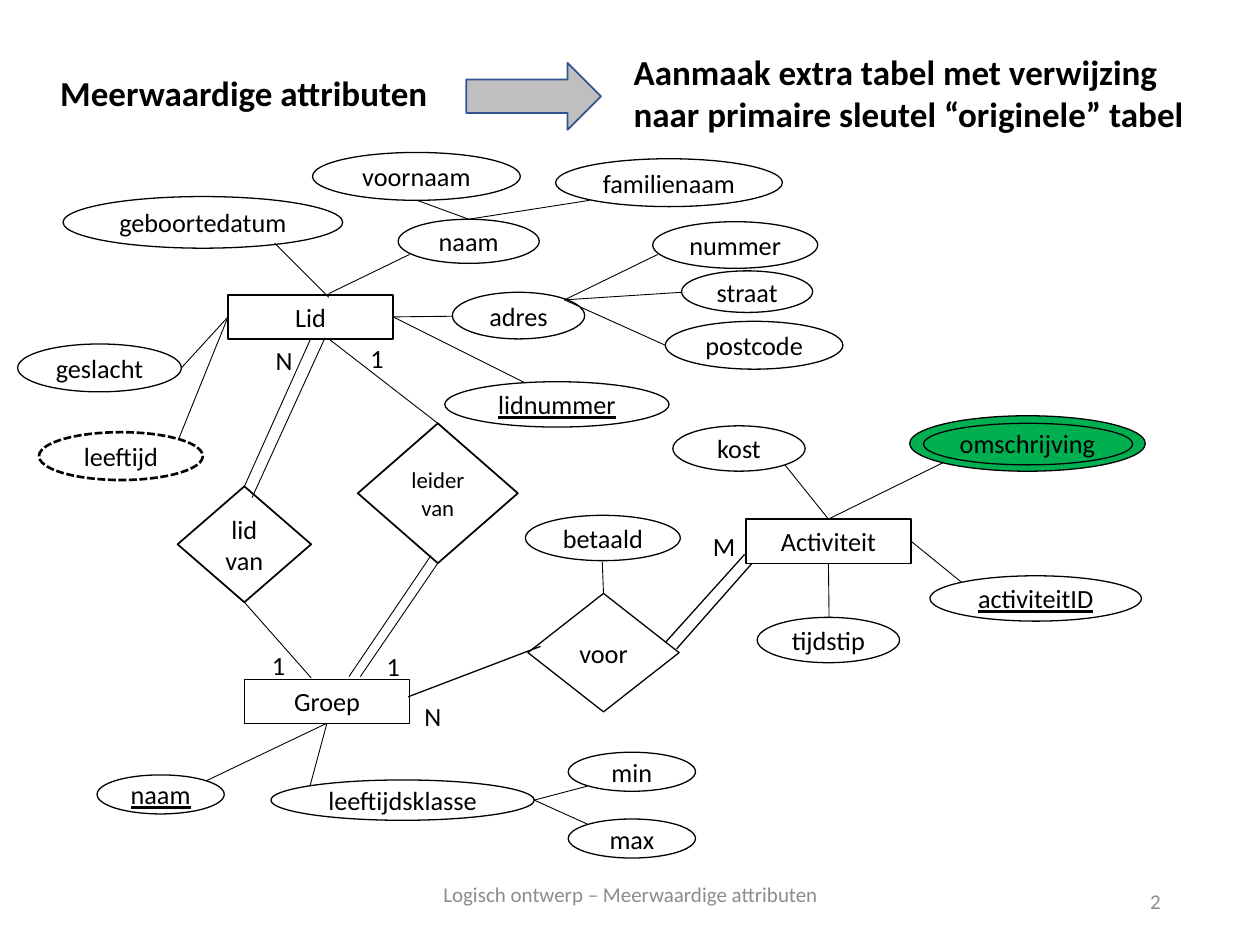
from dataclasses import dataclass
from typing import Optional

from lxml import etree
from pptx import Presentation
from pptx import util as u
from pptx.dml.color import RGBColor
from pptx.enum import dml, shapes, text
from pptx.oxml.ns import qn


@dataclass(frozen=True)
class Theme:
    font: str = "Calibri"
    ink: str = "000000"
    paper: str = "FFFFFF"
    accent: str = "00B050"
    arrow: str = "BFBFBF"
    arrow_edge: str = "325491"
    muted: str = "8C8C8C"
    title: float = 20
    body: float = 15
    small: float = 13
    footer: float = 12


T = Theme()
RECT = shapes.MSO_SHAPE.RECTANGLE
OVAL = shapes.MSO_SHAPE.OVAL
DIAMOND = shapes.MSO_SHAPE.DIAMOND
ARROW = shapes.MSO_SHAPE.RIGHT_ARROW
LEFT, CENTER, RIGHT = text.PP_ALIGN.LEFT, text.PP_ALIGN.CENTER, text.PP_ALIGN.RIGHT
TOP, MIDDLE = text.MSO_ANCHOR.TOP, text.MSO_ANCHOR.MIDDLE


@dataclass(frozen=True)
class Node:
    x: float
    y: float
    w: float
    h: float
    label: str = ""
    kind: int = OVAL
    fill: Optional[str] = T.paper
    edge: str = T.ink
    weight: float = 0.75
    size: float = T.body
    key: bool = False
    dashed: bool = False


@dataclass(frozen=True)
class Label:
    x: float
    y: float
    w: float
    h: float
    label: str
    size: float = T.body
    color: str = T.ink
    bold: bool = False
    align: int = LEFT
    anchor: int = TOP


# Entities and relationships
ENTITY = (1.31, 0.35)
BLOCKS = [
    Node(1.81, 2.34, *ENTITY, "Lid", RECT),
    Node(1.94, 5.39, *ENTITY, "Groep", RECT),
    Node(5.92, 4.12, *ENTITY, "Activiteit", RECT),
    Node(1.41, 3.86, 1.06, 0.92, "lid van", DIAMOND, weight=1),
    Node(2.84, 3.36, 1.27, 1.11, "leider van", DIAMOND, weight=1, size=T.small),
    Node(4.19, 4.71, 1.2, 0.94, "voor", DIAMOND, None),
]

# Attributes, with the multivalued one as a double ellipse
ATTRIBUTES = [
    Node(2.48, 1.21, 1.65, 0.38, "voornaam"),
    Node(4.41, 1.26, 1.8, 0.38, "familienaam"),
    Node(3.16, 1.74, 1.12, 0.35, "naam"),
    Node(0.5, 1.56, 2.22, 0.41, "geboortedatum", fill=None),
    Node(5.41, 2.15, 1.04, 0.33, "straat"),
    Node(5.18, 1.76, 1.31, 0.37, "nummer"),
    Node(5.28, 2.55, 1.41, 0.38, "postcode"),
    Node(3.59, 2.32, 1.05, 0.37, "adres", fill=None),
    Node(0.14, 2.73, 1.3, 0.38, "geslacht"),
    Node(0.31, 3.43, 1.3, 0.38, "leeftijd", fill=None, weight=1.5, dashed=True),
    Node(3.53, 3.03, 1.78, 0.36, "lidnummer", key=True),
    Node(0.77, 6.15, 1.01, 0.31, "naam", key=True),
    Node(2.15, 6.19, 2.09, 0.32, "leeftijdsklasse", fill=None),
    Node(4.51, 5.97, 1.01, 0.31, "min"),
    Node(4.51, 6.5, 1.01, 0.31, "max"),
    Node(4.17, 4.09, 1.23, 0.36, "betaald", fill=None),
    Node(5.34, 3.38, 1.05, 0.36, "kost"),
    Node(6.01, 4.9, 1.13, 0.36, "tijdstip"),
    Node(7.38, 4.57, 1.68, 0.36, "activiteitID", key=True),
    Node(7.22, 3.3, 1.87, 0.44, "omschrijving", fill=T.accent),
    Node(7.33, 3.36, 1.66, 0.33, fill=None),
]

TITLE_ARROW = Node(3.7, 0.5, 1.07, 0.53, kind=ARROW, fill=T.arrow,
                   edge=T.arrow_edge, weight=1)

# Lines as (x1, y1, x2, y2)
THIN_LINES = [
    (5.41, 2.32, 4.48, 2.38), (5.28, 2.74, 4.48, 2.38), (4.48, 2.38, 5.22, 2.02),
    (3.12, 2.52, 3.59, 2.51), (1.44, 2.92, 1.81, 2.52), (1.42, 3.48, 1.81, 2.52),
    (4.17, 3.04, 3.12, 2.52), (3.25, 2.02, 2.61, 2.33), (2.18, 1.93, 2.61, 2.36),
    (3.31, 1.59, 3.72, 1.74), (4.68, 1.59, 3.72, 1.74),
    (1.94, 3.86, 2.47, 2.7), (2, 3.95, 2.58, 2.68), (2.47, 5.38, 1.94, 4.78),
    (2.61, 2.69, 3.48, 3.36), (3.48, 4.47, 2.86, 5.37), (3.42, 4.41, 2.77, 5.37),
    (2.59, 5.74, 1.63, 6.2), (2.46, 6.24, 2.59, 5.74),
    (4.66, 6.24, 4.24, 6.35), (4.66, 6.54, 4.24, 6.35), (4.78, 4.46, 4.79, 4.71),
    (7.49, 3.67, 6.57, 4.12), (6.23, 3.69, 6.57, 4.12),
    (6.58, 4.9, 6.57, 4.47), (7.63, 4.62, 7.23, 4.3),
]
THICK_LINES = [(4.29, 5.13, 3.24, 5.53), (5.97, 4.47, 5.37, 5.15),
               (5.91, 4.4, 5.28, 5.1)]

# Titles, cardinalities and footer
LABELS = [
    Label(0.38, 0.52, 3.16, 0.44, "Meerwaardige attributen", T.title, bold=True),
    Label(4.93, 0.35, 4.58, 0.77,
          "Aanmaak extra tabel met verwijzing naar primaire sleutel “originele” tabel",
          T.title, bold=True),
    Label(2.09, 2.68, 0.33, 0.35, "N"),
    Label(2.84, 2.67, 0.31, 0.35, "1"),
    Label(2.06, 5.1, 0.31, 0.35, "1"),
    Label(2.97, 5.11, 0.31, 0.35, "1"),
    Label(3.27, 5.51, 0.5, 0.35, "N"),
    Label(5.56, 4.16, 0.49, 0.35, "M"),
    Label(2.55, 6.9, 4.91, 0.4, "Logisch ontwerp – Meerwaardige attributen",
          T.footer, T.muted, align=CENTER, anchor=MIDDLE),
    Label(7.06, 6.95, 2.25, 0.4, "2", T.footer, T.muted, align=RIGHT, anchor=MIDDLE),
]


def write(sp, label: str, color: str, align: int, frame: dict, font: dict) -> None:
    tf = sp.text_frame
    for name, value in frame.items():
        setattr(tf, name, value)
    p = tf.paragraphs[0]
    p.alignment = align
    r = p.add_run()
    r.text = label
    for name, value in {"name": T.font, **font}.items():
        setattr(r.font, name, value)
    r.font.color.rgb = RGBColor.from_string(color)


def add_node(s, n: Node):
    sp = s.shapes.add_shape(n.kind, *map(u.Inches, (n.x, n.y, n.w, n.h)))
    sp.shadow.inherit = False
    if n.fill:
        sp.fill.solid()
        sp.fill.fore_color.rgb = RGBColor.from_string(n.fill)
    else:
        sp.fill.background()
    sp.line.color.rgb = RGBColor.from_string(n.edge)
    sp.line.width = u.Pt(n.weight)
    if n.dashed:
        sp.line.dash_style = dml.MSO_LINE.SQUARE_DOT
    if n.label:
        frame = {"word_wrap": n.kind != OVAL,
                 "vertical_anchor": TOP if n.kind == RECT else MIDDLE}
        write(sp, n.label, T.ink, CENTER, frame,
              {"size": u.Pt(n.size), "underline": n.key})
    return sp


def add_label(s, b: Label) -> None:
    sp = s.shapes.add_textbox(*map(u.Inches, (b.x, b.y, b.w, b.h)))
    write(sp, b.label, b.color, b.align,
          {"word_wrap": b.label != "1", "vertical_anchor": b.anchor},
          {"size": u.Pt(b.size), "bold": b.bold})


def find_site(blocks: list, x: float, y: float) -> Optional[tuple]:
    """Return the block and side whose middle lies at the point."""
    for n, sp in blocks:
        cx, cy = n.x + n.w / 2, n.y + n.h / 2
        sides = [(cx, n.y), (n.x, cy), (cx, n.y + n.h), (n.x + n.w, cy)]
        for side, (sx, sy) in enumerate(sides):
            if max(abs(sx - x), abs(sy - y)) < 0.02:
                return sp, side
    return None


def add_line(s, blocks: list, ends: tuple, weight: float) -> None:
    c = s.shapes.add_connector(shapes.MSO_CONNECTOR.STRAIGHT, *map(u.Inches, ends))
    c.line.color.rgb = RGBColor.from_string(T.ink)
    c.line.width = u.Pt(weight)
    etree.SubElement(c._element.spPr, qn("a:effectLst"))
    for connect, point in ((c.begin_connect, ends[:2]), (c.end_connect, ends[2:])):
        site = find_site(blocks, *point)
        if site:
            connect(*site)


def main() -> None:
    prs = Presentation()
    prs.slide_width, prs.slide_height = u.Inches(10), u.Inches(7.5)
    s = prs.slides.add_slide(prs.slide_layouts[6])
    blocks = [(n, add_node(s, n)) for n in BLOCKS]
    for n in [*ATTRIBUTES, TITLE_ARROW]:
        add_node(s, n)
    for lines, weight in ((THIN_LINES, 0.5), (THICK_LINES, 0.75)):
        for ends in lines:
            add_line(s, blocks, ends, weight)
    for b in LABELS:
        add_label(s, b)
    prs.save("out.pptx")


if __name__ == "__main__":
    main()
